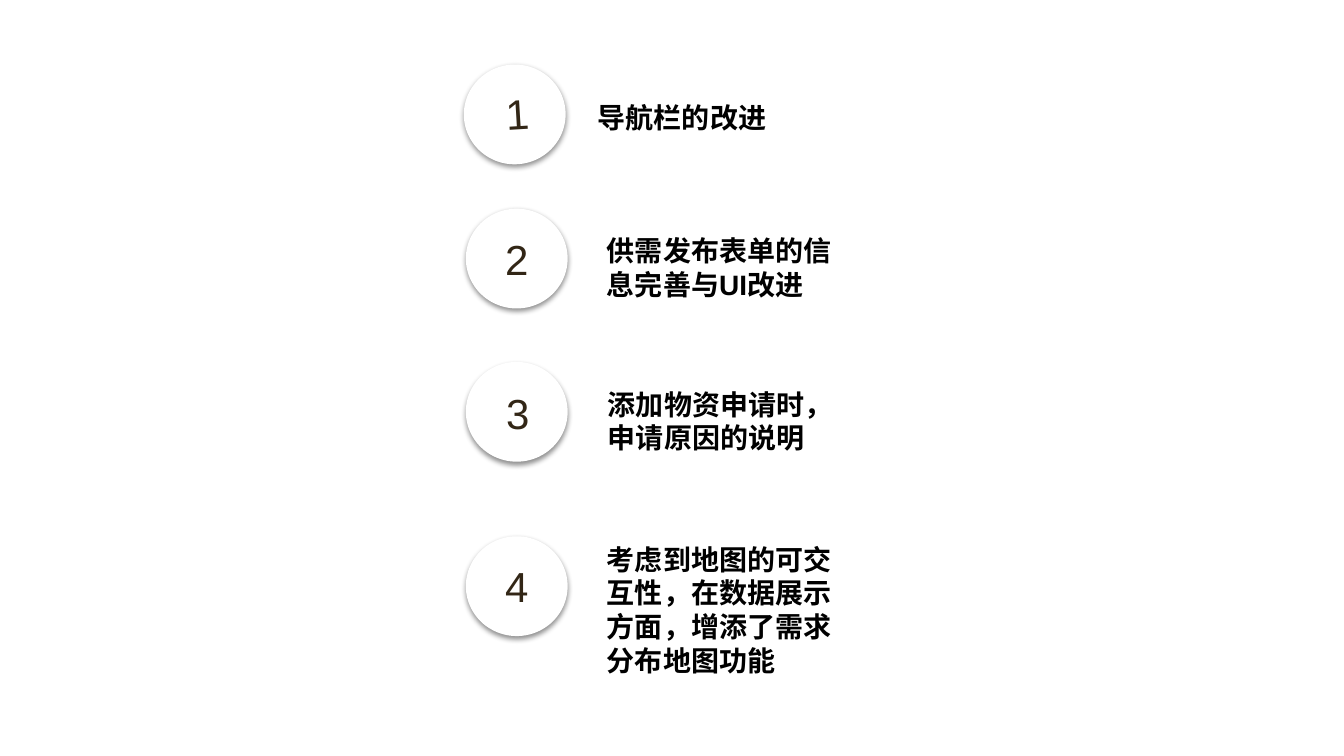
from lxml.etree import SubElement
from pptx import Presentation
from pptx.dml.color import RGBColor
from pptx.enum.shapes import MSO_SHAPE
from pptx.oxml.ns import qn
from pptx.util import Emu, Pt

BLACK = RGBColor(0x00, 0x00, 0x00)
WHITE = RGBColor(0xFF, 0xFF, 0xFF)
BROWN = RGBColor(0x32, 0x26, 0x16)
FONT = "Arial"
BADGE_WIDTH, BADGE_HEIGHT = 101, 99
NUMBER_WIDTH, NUMBER_HEIGHT = 46, 86
TILT = -3.4

# Each item: badge position, number position, caption box, tilt, caption
ITEMS = [
    ((460, 64), (502, 79), (593, 93, 286, 42), TILT, "导航栏的改进"),
    ((462, 207), (501, 225), (602, 225, 226, 74), 0, "供需发布表单的信息完善与UI改进"),
    ((462, 359), (502, 377), (603, 377, 226, 74), 0, "添加物资申请时，申请原因的说明"),
    ((462, 532), (501, 549), (602, 531, 226, 136), 0,
     "考虑到地图的可交互性，在数据展示方面，增添了需求分布地图功能"),
]


def px(length):
    """Turn whole pixels, 100 to the inch, into EMU."""
    return Emu(length * 9144)


def add_text(shapes, box, text, size, color, bold=False):
    """Add a wrapping text box with one run and return it."""
    shape = shapes.add_textbox(*map(px, box))
    frame = shape.text_frame
    frame.word_wrap = True
    frame.margin_left = frame.margin_right = 0
    frame.margin_top = frame.margin_bottom = px(7)
    run = frame.paragraphs[0].add_run()
    run.text = text
    run.font.name = FONT
    run.font.size = Pt(size)
    run.font.bold = bold
    run.font.color.rgb = color
    return shape


def add_soft_shadow(shape):
    """Give a shape a soft black shadow straight below it."""
    shape.shadow.inherit = False
    effects = shape.element.spPr.find(qn("a:effectLst"))
    shadow = SubElement(effects, qn("a:outerShdw"), blurRad=str(Pt(4)), dist=str(Pt(2)),
                        dir="5400000", algn="t", rotWithShape="0")
    color = SubElement(shadow, qn("a:srgbClr"), val=str(BLACK))
    SubElement(color, qn("a:alpha"), val="43000")


def add_badge(slide, number, badge_position, number_position, tilt):
    """Add a white circle grouped with its number."""
    shapes = slide.shapes.add_group_shape().shapes
    circle = shapes.add_shape(MSO_SHAPE.OVAL,
                              *map(px, (*badge_position, BADGE_WIDTH, BADGE_HEIGHT)))
    circle.fill.solid()
    circle.fill.fore_color.rgb = WHITE
    circle.line.fill.background()
    add_soft_shadow(circle)
    label = add_text(shapes, (*number_position, NUMBER_WIDTH, NUMBER_HEIGHT),
                     str(number), 30, BROWN)
    circle.rotation = label.rotation = tilt


def main():
    """Build the slide of four numbered improvements."""
    presentation = Presentation()
    presentation.slide_width = px(1333)
    presentation.slide_height = px(750)
    slide = presentation.slides.add_slide(presentation.slide_layouts[6])
    for number, (badge, label, box, tilt, caption) in enumerate(ITEMS, start=1):
        add_text(slide.shapes, box, caption, 20, BLACK, bold=True)
        add_badge(slide, number, badge, label, tilt)
    presentation.save("out.pptx")


if __name__ == "__main__":
    main()
